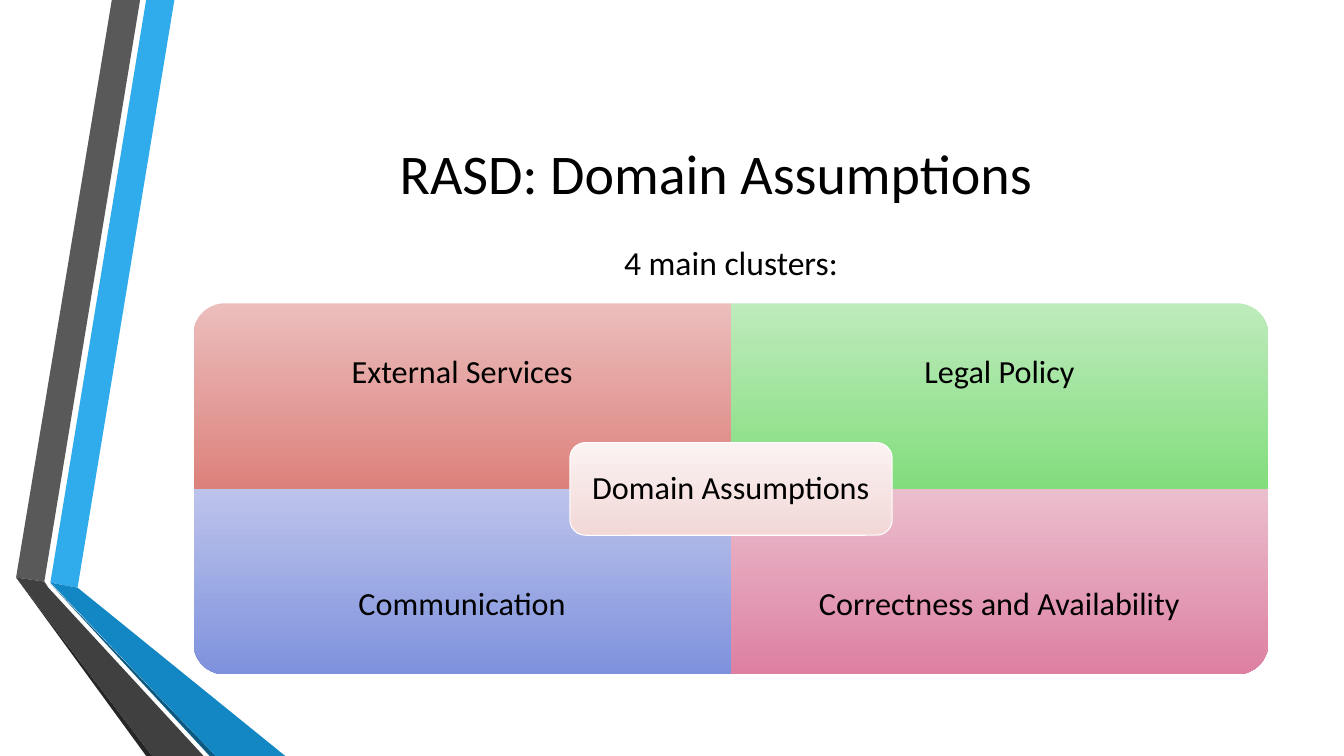
from math import cos, pi, sin

from pptx import Presentation
from pptx.dml.color import RGBColor
from pptx.enum.shapes import MSO_SHAPE
from pptx.enum.text import MSO_ANCHOR, PP_ALIGN
from pptx.util import Inches, Pt

THEME = {
    "font": "Calibri",
    "text": "000000",
    "outline": "FFFFFF",
    "title": 40,
    "caption": 24,
    "label": 23,
    "ribbons": {
        "blue": "30ACEC", "grey": "595959", "grey edge": "262626",
        "blue edge": "0C5A82", "blue fold": "1287C3", "grey fold": "404040",
    },
    "clusters": {
        "External Services": ("EBBEBC", "DD817C"),
        "Legal Policy": ("BEEBBC", "82DD7D"),
        "Communication": ("BDC4EB", "7E91DD"),
        "Correctness and Availability": ("EBBECD", "DD80A2"),
    },
    "hub": ("FBF2F2", "F2D8D7"),
}
WIDTH, HEIGHT = 13.33, 7.5
COLUMN, ROW = 5.33, 1.84
MIDDLE_X, MIDDLE_Y = 7.25, 4.85
CORNER, PADDING, HUB_GAP = 0.31, 0.18, 0.64
ARC_STEPS = 16


def add_outline(shapes, points):
    units = [(x * 1000, y * 1000) for x, y in points]
    builder = shapes.build_freeform(*units[0], scale=Inches(1) / 1000)
    builder.add_line_segments(units[1:], close=True)
    shape = builder.convert_to_shape()
    shape.shadow.inherit = False
    shape.line.fill.background()
    return shape


def format_box(box, text, size, margins, spacing=1.0, gradient=None):
    frame = box.text_frame
    sides = ("margin_left", "margin_top", "margin_right", "margin_bottom")
    values = {side: Inches(margin) for side, margin in zip(sides, margins)}
    values.update(word_wrap=True, vertical_anchor=MSO_ANCHOR.MIDDLE)
    for name, value in values.items():
        setattr(frame, name, value)
    para = frame.paragraphs[0]
    for name, value in {"alignment": PP_ALIGN.CENTER, "line_spacing": spacing}.items():
        setattr(para, name, value)
    span = para.add_run()
    span.text = text
    for name, value in {"name": THEME["font"], "size": Pt(size)}.items():
        setattr(span.font, name, value)
    span.font.color.rgb = RGBColor.from_string(THEME["text"])
    if gradient:
        box.fill.gradient()
        box.fill.gradient_angle = 270
        for stop, position, colour in zip(box.fill.gradient_stops, (0, 1), gradient):
            stop.position = position
            stop.color.rgb = RGBColor.from_string(colour)


deck = Presentation()
deck.slide_width, deck.slide_height = Inches(WIDTH), Inches(HEIGHT)
page = deck.slides.add_slide(deck.slide_layouts[5])

ribbons = {
    "blue": [(0.5, 5.78), (0.77, 5.83), (1.73, 0), (1.45, 0)],
    "grey": [(1.39, 0), (1.11, 0), (0.16, 5.73), (0.44, 5.77)],
    "grey edge": [(0.16, 5.73), (1.45, HEIGHT), (1.51, HEIGHT)],
    "blue edge": [(0.5, 5.79), (2.08, HEIGHT), (2.14, HEIGHT)],
    "blue fold": [(0.5, 5.78), (2.14, HEIGHT), (2.83, HEIGHT), (0.77, 5.83)],
    "grey fold": [(0.16, 5.73), (1.51, HEIGHT), (2.02, HEIGHT), (0.48, 5.83), (0.44, 5.77)],
}
for name, points in ribbons.items():
    ribbon = add_outline(page.shapes, points)
    ribbon.fill.solid()
    ribbon.fill.fore_color.rgb = RGBColor.from_string(THEME["ribbons"][name])

title = page.shapes.title
places = {"left": 1.62, "top": HEIGHT / 10, "width": 10.96, "height": 1.92}
for name, value in places.items():
    setattr(title, name, Inches(value))
format_box(title, "RASD: Domain Assumptions", THEME["title"], (0.1, 0.05, 0.1, 0.05))

caption = page.shapes.add_textbox(
    Inches(MIDDLE_X - COLUMN), Inches(2.35), Inches(2 * COLUMN), Inches(0.5))
format_box(caption, "4 main clusters:", THEME["caption"], (0.1, 0.05, 0.1, 0.05))

for index, (label, gradient) in enumerate(THEME["clusters"].items()):
    row, column = divmod(index, 2)
    across, down = 2 * column - 1, 2 * row - 1
    angles = [pi / 2 * step / ARC_STEPS for step in range(ARC_STEPS + 1)]
    offsets = [(0, 0), (0, ROW)]
    offsets += [(COLUMN - CORNER + CORNER * sin(angle), ROW - CORNER + CORNER * cos(angle))
                for angle in angles]
    offsets.append((COLUMN, 0))
    cluster = add_outline(
        page.shapes, [(MIDDLE_X + across * x, MIDDLE_Y + down * y) for x, y in offsets])
    top, bottom = (HUB_GAP, PADDING) if row else (PADDING, HUB_GAP)
    format_box(cluster, label, THEME["label"], (PADDING, top, PADDING, bottom), 0.9, gradient)

hub_width, hub_height = 0.6 * COLUMN, ROW / 2
hub = page.shapes.add_shape(
    MSO_SHAPE.ROUNDED_RECTANGLE,
    Inches(MIDDLE_X - hub_width / 2), Inches(MIDDLE_Y - hub_height / 2),
    Inches(hub_width), Inches(hub_height))
hub.shadow.inherit = False
hub.adjustments[0] = 0.17
hub.line.color.rgb = RGBColor.from_string(THEME["outline"])
hub.line.width = Pt(0.75)
format_box(hub, "Domain Assumptions", THEME["label"], (0.14,) * 4, 0.9, THEME["hub"])

deck.save("out.pptx")
